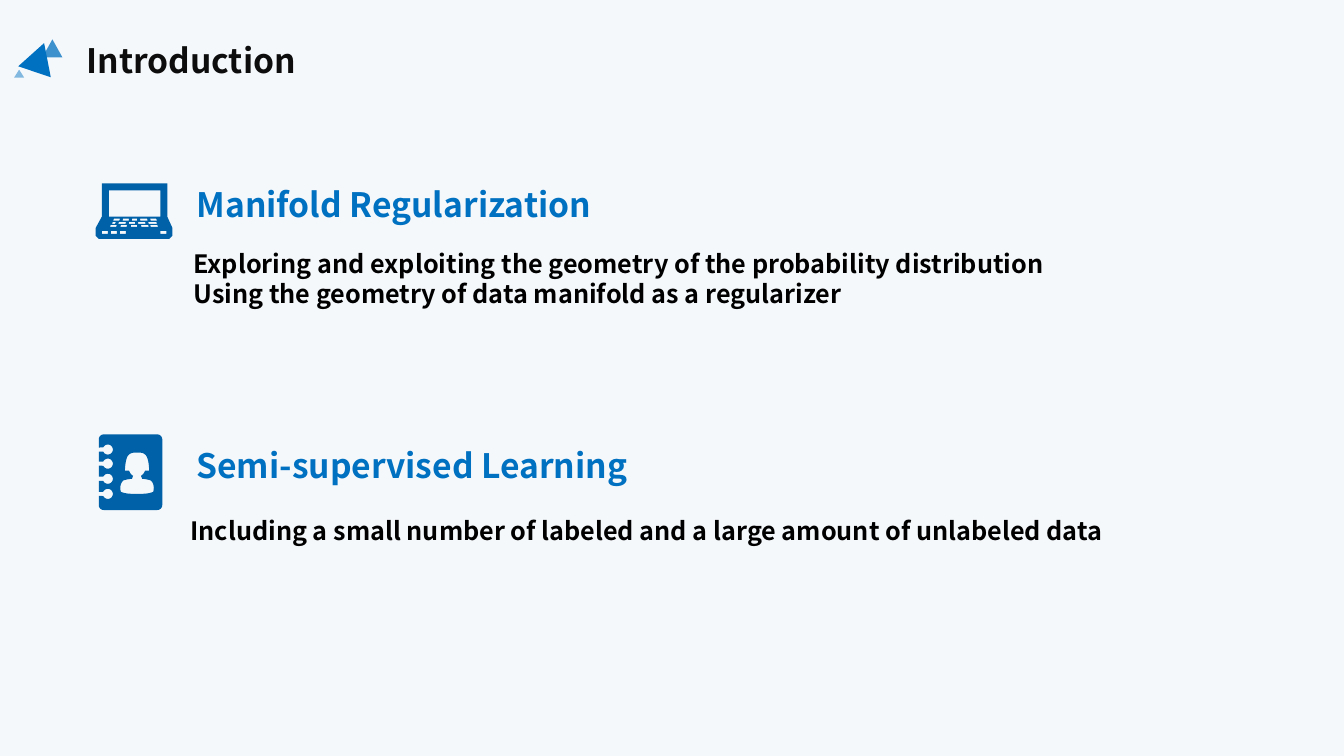
"""Build the Introduction slide with its two icon-led topics."""
from math import cos, radians, sin

from lxml import etree
from pptx import Presentation
from pptx.dml.color import RGBColor
from pptx.enum.shapes import MSO_SHAPE
from pptx.enum.text import MSO_AUTO_SIZE, PP_ALIGN
from pptx.oxml.ns import qn
from pptx.util import Inches, Pt

TRIANGLE = MSO_SHAPE.ISOSCELES_TRIANGLE
GROW = MSO_AUTO_SIZE.SHAPE_TO_FIT_TEXT
LEFT, JUSTIFY = PP_ALIGN.LEFT, PP_ALIGN.JUSTIFY
FONT = "Noto Sans CJK SC"
COLORS = {"background": "F5F8FB", "title": "0D0D0D", "body": "000000",
          "accent": "0070C0", "icon": "0060A8"}


def rect(left, top, right, bottom):
    return [(left, top), (right, top), (right, bottom), (left, bottom)]


def arc(x, y, radius, start, end, steps=12):
    angles = [radians(start + (end - start) * i / steps) for i in range(steps + 1)]
    return [(x + radius * cos(a), y + radius * sin(a)) for a in angles]


def curve(points, steps=8):
    """Sample a chain of cubic curves."""
    result = [points[0]]
    for i in range(0, len(points) - 1, 3):
        a, b, c, d = points[i:i + 4]
        for n in range(1, steps + 1):
            t = n / steps
            weights = ((1 - t) ** 3, 3 * t * (1 - t) ** 2, 3 * t * t * (1 - t), t ** 3)
            result.append(tuple(sum(w * p[k] for w, p in zip(weights, (a, b, c, d)))
                                for k in (0, 1)))
    return result


def laptop():
    body = [(1.01, 1.82), (1.66, 1.82), (1.66, 2.15), (1.71, 2.26), (1.71, 2.34),
            (1.68, 2.37), (0.98, 2.37), (0.95, 2.34), (0.95, 2.26), (1.01, 2.15)]
    key_rows = {
        2.17: [(1.13, 1.19), (1.22, 1.28), (1.31, 1.36), (1.39, 1.46), (1.49, 1.55)],
        2.2: [(1.12, 1.15), (1.18, 1.25), (1.28, 1.34), (1.37, 1.44), (1.47, 1.55)],
        2.23: [(1.1, 1.16), (1.2, 1.26), (1.3, 1.36), (1.4, 1.47), (1.49, 1.56)],
    }
    middle, spread = 1.34, 1.04
    outlines = [body, rect(1.08, 1.89, 1.59, 2.15)]
    for y, keys in key_rows.items():
        for left, right in keys:
            outlines.append([(left, y), (right, y),
                             (middle + (right - middle) * spread, y + 0.02),
                             (middle + (left - middle) * spread, y + 0.02)])
    outlines += [rect(x, 2.29, x + 0.06, 2.32) for x in (1.01, 1.1, 1.19, 1.59)]
    return outlines


def notebook():
    left, right, top, bottom, radius = 0.98, 1.61, 4.31, 5.06, 0.05
    cover = arc(right - radius, top + radius, radius, -90, 0)
    cover += arc(right - radius, bottom - radius, radius, 0, 90)
    cover += arc(left + radius, bottom - radius, radius, 90, 180)
    for y in (4.9, 4.75, 4.6, 4.46):
        cover += [(left, y + 0.02)] + arc(1.07, y, 0.05, 155, -155, 24) + [(left, y - 0.02)]
    cover += arc(left + radius, top + radius, radius, 180, 270)
    half = curve([(1.36, 4.49), (1.33, 4.49), (1.3, 4.49), (1.28, 4.51),
                  (1.25, 4.53), (1.24, 4.62), (1.24, 4.67),
                  (1.26, 4.67), (1.27, 4.67), (1.28, 4.67),
                  (1.29, 4.69), (1.3, 4.71), (1.32, 4.72),
                  (1.32, 4.73), (1.31, 4.74), (1.31, 4.75),
                  (1.3, 4.75), (1.23, 4.76), (1.22, 4.77),
                  (1.19, 4.8), (1.19, 4.85), (1.2, 4.88),
                  (1.25, 4.9), (1.3, 4.9), (1.36, 4.9)])
    person = half + [(2.72 - x, y) for x, y in reversed(half)]
    return [cover, person]


class Deck:
    """Hold the style and the current slide."""

    def __init__(self):
        self.prs = Presentation()
        self.prs.slide_width, self.prs.slide_height = Inches(13.33), Inches(7.5)
        self.s = self.prs.slides.add_slide(self.prs.slide_layouts[6])
        fill = self.s.background.fill
        fill.solid()
        fill.fore_color.rgb = RGBColor.from_string(COLORS["background"])

    def paint(self, sp, color, alpha=100):
        sp.shadow.inherit = False
        sp.line.fill.background()
        sp.fill.solid()
        sp.fill.fore_color.rgb = RGBColor.from_string(COLORS[color])
        if alpha < 100:
            clr = sp.fill._xPr.find(qn("a:solidFill"))[0]
            etree.SubElement(clr, qn("a:alpha")).set("val", str(alpha * 1000))

    def triangle(self, x, y, w, h, alpha=100, rotation=0):
        sp = self.s.shapes.add_shape(TRIANGLE, Inches(x), Inches(y), Inches(w), Inches(h))
        sp.rotation = rotation
        self.paint(sp, "accent", alpha)

    def icon(self, outlines):
        scaled = [[(Inches(x), Inches(y)) for x, y in outline] for outline in outlines]
        builder = self.s.shapes.build_freeform(*scaled[0][0])
        builder.add_line_segments(scaled[0][1:])
        for outline in scaled[1:]:
            builder.move_to(*outline[0])
            builder.add_line_segments(outline[1:])
        self.paint(builder.convert_to_shape(), "icon")

    def text(self, lines, x, y, w, h, size, color, align=LEFT):
        sp = self.s.shapes.add_textbox(Inches(x), Inches(y), Inches(w), Inches(h))
        tf = sp.text_frame
        tf.word_wrap = True
        tf.auto_size = GROW
        tf.text = "\n".join(lines)
        for p in tf.paragraphs:
            p.alignment = align
            p.font.name, p.font.size, p.font.bold = FONT, Pt(size), True
            p.font.color.rgb = RGBColor.from_string(COLORS[color])

    def heading(self, line, y, w):
        self.text([line], 1.85, y, w, 0.5, 24, "accent", JUSTIFY)

    def save(self):
        self.prs.save("out.pptx")


def main():
    deck = Deck()
    deck.text(["Introduction"], 0.76, 0.35, 3.3, 0.5, 24, "title")
    deck.triangle(0.42, 0.39, 0.2, 0.18, alpha=75)
    deck.triangle(0.22, 0.42, 0.34, 0.3, rotation=18.5)
    deck.triangle(0.14, 0.69, 0.1, 0.08, alpha=47)

    deck.icon(laptop())
    deck.heading("Manifold Regularization", 1.78, 4.52)
    deck.text(["Exploring and exploiting the geometry of the probability distribution",
               "Using the geometry of data manifold as a regularizer"],
              1.82, 2.41, 10.32, 0.71, 18, "body")

    deck.icon(notebook())
    deck.heading("Semi-supervised Learning", 4.36, 4.89)
    deck.text(["Including a small number of labeled and a large amount of unlabeled data"],
              1.79, 5.06, 10.32, 0.4, 18, "body")
    deck.save()


if __name__ == "__main__":
    main()
